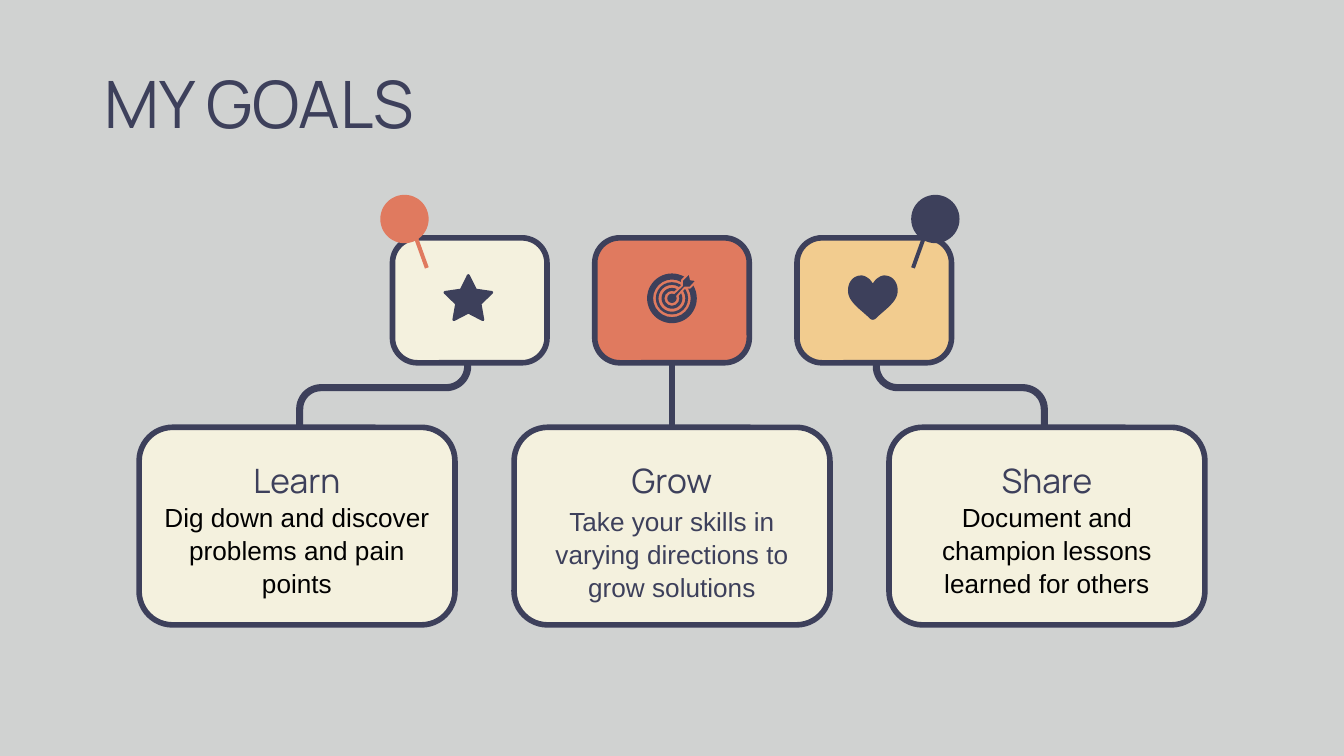
from dataclasses import dataclass

import pptx
import pptx.dml.color
import pptx.enum.shapes
import pptx.enum.text
import pptx.util
from lxml import etree
from pptx.oxml.ns import qn

SHAPE = pptx.enum.shapes.MSO_SHAPE
ALIGN = pptx.enum.text.PP_ALIGN
ANCHOR = pptx.enum.text.MSO_ANCHOR

# The slide is a grid of 100 columns by 56.25 rows; all lengths are in cells
COLUMNS, ROWS = 100, 56.25
CELL = pptx.util.Inches(10) // COLUMNS

NAVY, CORAL, SAND, CREAM, GREY, BLACK = (
    "3D405B", "E07A5F", "F2CC8F", "F4F1DE", "D0D2D1", "000000")
BORDER = 3
CENTRE = 50
CARD_GAP, CARD_TOP, CARD_WIDTH, CARD_HEIGHT = 15.05, 17.7, 11.5, 9.3
BOX_GAP, BOX_TOP, BOX_WIDTH, BOX_HEIGHT = 27.9, 31.8, 23.5, 14.7
ICON_Y = 22.2

Point = tuple[float, float]


@dataclass
class Goal:
    name: str
    detail: str
    card_fill: str
    detail_colour: str
    detail_top: float
    side: int


@dataclass
class Pin:
    x: float
    side: int
    colour: str


GOALS = [
    Goal("Learn", "Dig down and discover problems and pain points", CREAM, BLACK, 37.2, -1),
    Goal("Grow", "Take your skills in varying directions to grow solutions", CORAL, NAVY, 37.5, 0),
    Goal("Share", "Document and champion lessons learned for others", SAND, BLACK, 37.2, 1),
]
PINS = [Pin(30.1, -1, CORAL), Pin(69.6, 1, NAVY)]

deck = pptx.Presentation()
deck.slide_width, deck.slide_height = int(COLUMNS * CELL), int(ROWS * CELL)
slide = deck.slides.add_slide(deck.slide_layouts[6])


def cells(*lengths: float) -> list[int]:
    return [round(length * CELL) for length in lengths]


def colour(hex_code: str) -> pptx.dml.color.RGBColor:
    return pptx.dml.color.RGBColor.from_string(hex_code)


def paint(part, fill: str | None, line: str | None = None, width: float = BORDER) -> None:
    part.shadow.inherit = False
    if fill:
        part.fill.solid()
        part.fill.fore_color.rgb = colour(fill)
    else:
        part.fill.background()
    if line:
        part.line.color.rgb = colour(line)
        part.line.width = pptx.util.Pt(width)
        etree.SubElement(part.line._get_or_add_ln(), qn("a:round"))
    else:
        part.line.fill.background()


def draw(kind, x: float, y: float, width: float, height: float, fill: str,
         line: str | None = None, stroke: float = BORDER, adjust: float | None = None):
    """Draw a preset shape around its centre."""
    part = slide.shapes.add_shape(kind, *cells(x - width / 2, y - height / 2, width, height))
    if adjust is not None:
        part.adjustments[0] = adjust
    paint(part, fill, line, stroke)
    return part


def curve(a: Point, b: Point, c: Point, d: Point, steps: int = 12) -> list[Point]:
    """Points along a cubic curve from a to d."""
    shares = [n / steps for n in range(steps + 1)]
    return [tuple((1 - t) ** 3 * p + 3 * (1 - t) ** 2 * t * q + 3 * (1 - t) * t * t * r + t ** 3 * s
                  for p, q, r, s in zip(a, b, c, d)) for t in shares]


def outline(points: list[Point], fill: str | None, line: str | None = None,
            width: float = BORDER, close: bool = True) -> None:
    start, *rest = [cells(*point) for point in points]
    builder = slide.shapes.build_freeform(*start, scale=1.0)
    builder.add_line_segments(rest, close=close)
    paint(builder.convert_to_shape(), fill, line, width)


def write(text: str, x: float, y: float, width: float, height: float, size: float,
          font: str = "Manrope", ink: str = NAVY, align=ALIGN.CENTER,
          anchor=ANCHOR.TOP, spacing: float = 1.0) -> None:
    frame = slide.shapes.add_textbox(*cells(x, y, width, height)).text_frame
    paragraph = frame.paragraphs[0]
    paragraph.text = text
    formats = {
        frame: {"word_wrap": True, "vertical_anchor": anchor, "margin_left": 0,
                "margin_right": 0, "margin_top": 0, "margin_bottom": 0},
        paragraph: {"alignment": align, "line_spacing": spacing},
        paragraph.font: {"name": font, "size": pptx.util.Pt(size)},
    }
    for target, values in formats.items():
        for attribute, value in values.items():
            setattr(target, attribute, value)
    paragraph.font.color.rgb = colour(ink)


def link(card, box) -> None:
    """Straight connector from the foot of a card to the top of its box."""
    connector = slide.shapes.add_connector(pptx.enum.shapes.MSO_CONNECTOR.STRAIGHT, 0, 0, 0, 0)
    connector.begin_connect(card, 2)
    connector.end_connect(box, 0)
    connector.line.color.rgb = colour(NAVY)
    connector.line.width = pptx.util.Pt(BORDER + 0.5)
    etree.SubElement(connector._element.spPr, qn("a:effectLst"))


def bend(side: int) -> None:
    """Round-cornered link from an outer card to its outer box."""
    near, far = CENTRE + side * 15.2, CENTRE + side * 27.7
    top, middle, bottom, radius = 27, 28.85, 31.7, 1.6
    lean, pull = side * radius, side * radius * 0.45
    first = curve((near, middle - radius), (near, middle - 0.7),
                  (near + pull, middle), (near + lean, middle))
    second = curve((far - lean, middle), (far - pull, middle),
                   (far, middle + 0.7), (far, middle + radius))
    outline([(near, top), *first, *second, (far, bottom)], None, NAVY, BORDER + 0.8, close=False)


def star(x: float) -> None:
    draw(SHAPE.STAR_5_POINT, x, ICON_Y - 0.05, 3.5, 3.3, NAVY, NAVY, 1.5, 0.25)


def target(x: float) -> None:
    for diameter, band in ((3.7, 0.45), (2.4, 0.2), (1.55, 0.22)):
        draw(SHAPE.DONUT, x, ICON_Y, diameter, diameter, NAVY, adjust=band / diameter)
    # Dart, with a card-coloured rim that cuts through the rings
    dart = [(-0.05, -0.2), (0.75, -0.95), (0.75, -1.35), (1.3, -1.9), (1.4, -1.4),
            (1.85, -1.35), (1.35, -0.8), (0.95, -0.8), (0.2, 0.05)]
    outline([(x + dx, ICON_Y + dy) for dx, dy in dart], NAVY, CORAL, 1)
    draw(SHAPE.OVAL, x, ICON_Y, 0.7, 0.7, NAVY)


def heart(x: float) -> None:
    half = [
        *curve((0, -1.1), (0.1, -1.25), (0.2, -1.4), (0.35, -1.5)),
        *curve((0.35, -1.5), (0.5, -1.6), (0.65, -1.7), (0.87, -1.7)),
        *curve((0.87, -1.7), (1.45, -1.7), (1.85, -1.2), (1.85, -0.6)),
        *curve((1.85, -0.6), (1.85, 0.1), (1.35, 0.5), (0.55, 1.2)),
        *curve((0.55, 1.2), (0.35, 1.35), (0.2, 1.6), (0, 1.6)),
    ]
    mirrored = [(-dx, dy) for dx, dy in reversed(half)]
    outline([(x + dx, ICON_Y + dy) for dx, dy in half + mirrored], NAVY)


def place_pin(pin: Pin) -> None:
    stem = draw(SHAPE.RECTANGLE, pin.x - pin.side * 0.75, 17.4, 0.3, 5.4, pin.colour)
    stem.rotation = pin.side * 19.8
    draw(SHAPE.OVAL, pin.x, 16.3, 3.6, 3.6, pin.colour)


# Background and title
slide.background.fill.solid()
slide.background.fill.fore_color.rgb = colour(GREY)
write("MY GOALS", 7.8, 4.7, 84.4, 6.7, 35, align=ALIGN.LEFT)

# Each goal: icon card, link, text box
for goal, draw_icon in zip(GOALS, (star, target, heart)):
    card_x = CENTRE + goal.side * CARD_GAP
    box_x = CENTRE + goal.side * BOX_GAP
    goal_box = draw(SHAPE.ROUNDED_RECTANGLE, box_x, BOX_TOP + BOX_HEIGHT / 2,
                    BOX_WIDTH, BOX_HEIGHT, CREAM, NAVY, adjust=0.17)
    goal_card = draw(SHAPE.ROUNDED_RECTANGLE, card_x, CARD_TOP + CARD_HEIGHT / 2,
                     CARD_WIDTH, CARD_HEIGHT, goal.card_fill, NAVY, adjust=0.2)
    if goal.side:
        bend(goal.side)
    else:
        link(goal_card, goal_box)
    draw_icon(card_x - 0.1 * abs(goal.side))
    write(goal.name, box_x - 10, 33.6, 20, 3.6, 18, anchor=ANCHOR.BOTTOM)
    write(goal.detail, box_x - 10, goal.detail_top, 20, 7, 14, "Arial",
          goal.detail_colour, spacing=1.05)

# Pins on the outer cards
for pin in PINS:
    place_pin(pin)

deck.save("out.pptx")
